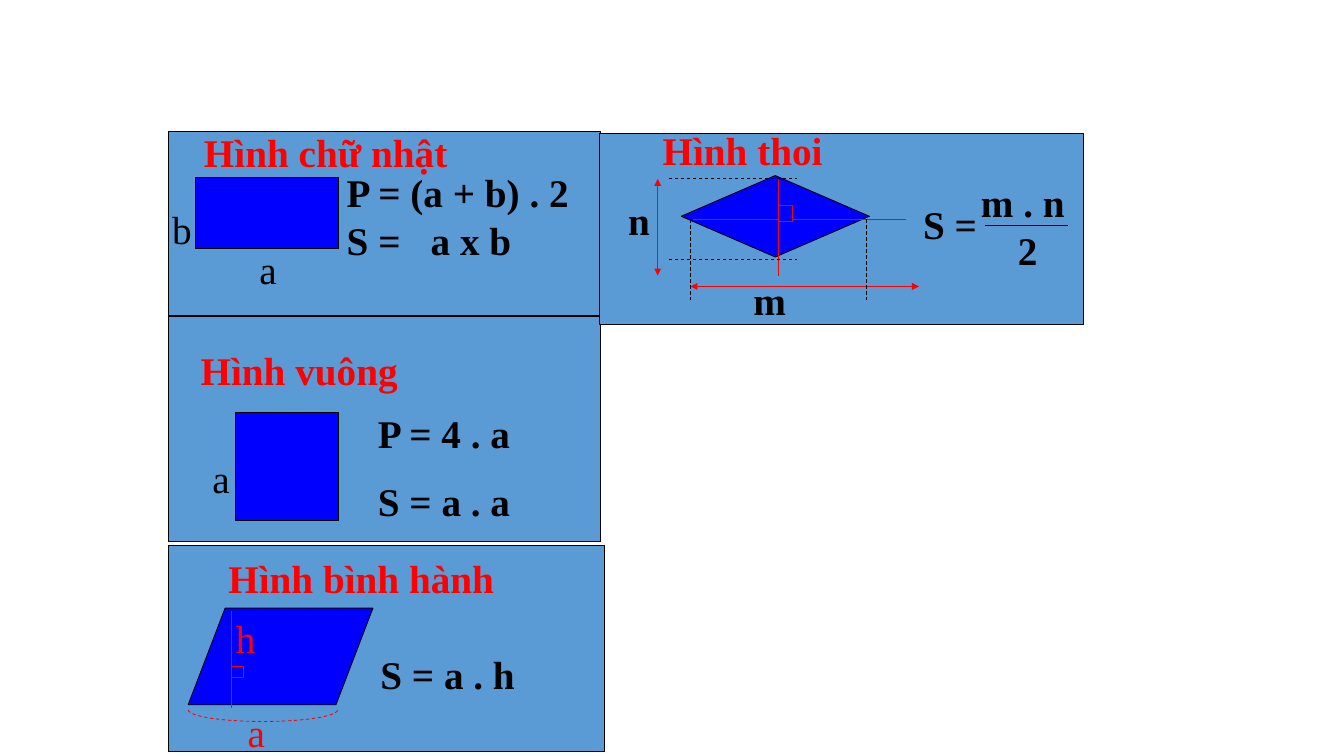
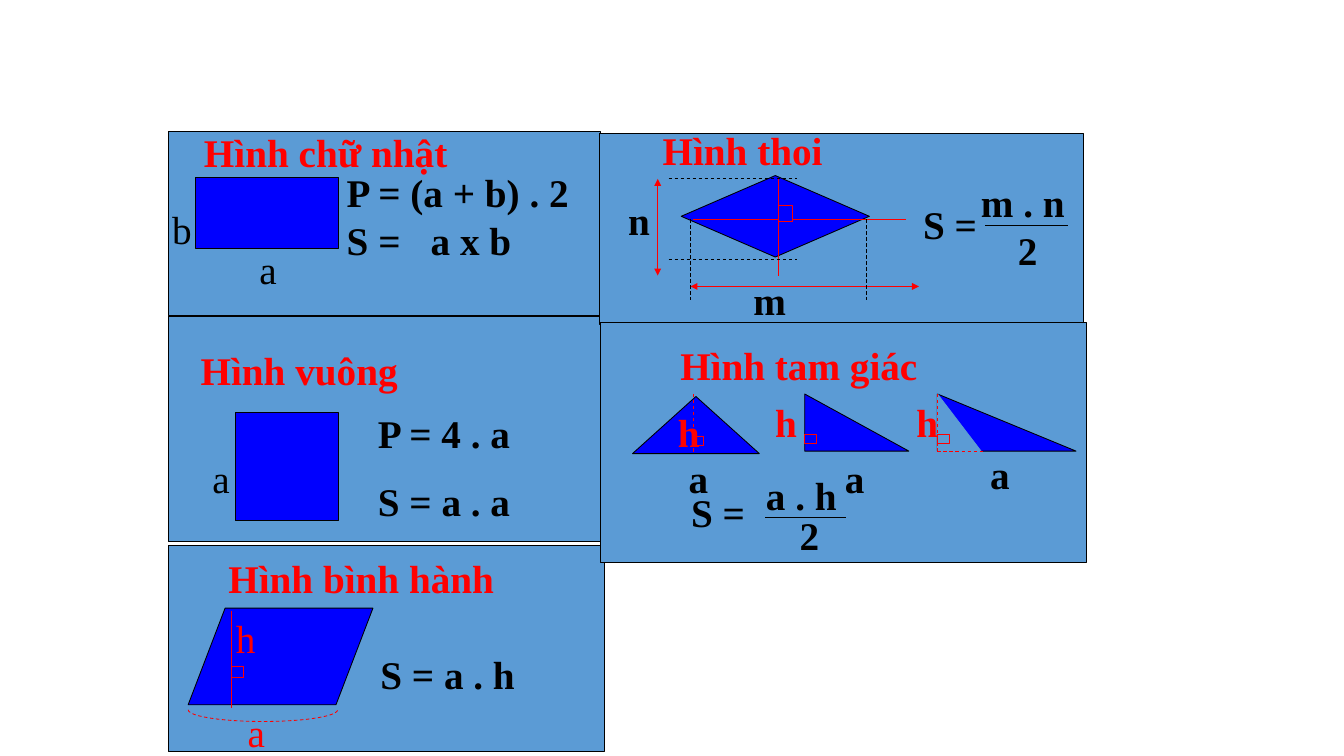
from math import cos, pi, sin
from lxml.etree import SubElement
from pptx import Presentation
from pptx.dml.color import RGBColor
from pptx.enum.dml import MSO_LINE_DASH_STYLE as DASH
from pptx.enum.shapes import MSO_CONNECTOR as LINK, MSO_SHAPE as SHAPE
from pptx.oxml.ns import qn
from pptx.util import Pt

COLS, ROWS = 16, 9
CELL = 914400
PANEL, FIGURE, RED, BLACK = "5B9BD5", "0000FF", "FF0000", "000000"
FONT = {"name": "Times New Roman", "size": Pt(33.6)}
TEXT_H = 0.67


def rgb(value):
    """Turn a hex string into a colour."""
    return RGBColor.from_string(value)


def emu(*cells):
    """Turn grid cells into slide units."""
    return [round(c * CELL) for c in cells]


def style_line(line, color, width=0.75, dash=False):
    """Give a line its colour, width and dash."""
    line.color.rgb = rgb(color)
    line.width = Pt(width)
    if dash:
        line.dash_style = DASH.DASH


class Panel:
    """A blue box whose parts are placed from its top left corner."""

    def __init__(self, s, x, y, w, h):
        """Draw the box itself."""
        self.shapes, self.x, self.y = s.shapes, x, y
        self.shape(SHAPE.RECTANGLE, 0, 0, w, h, PANEL)

    def shape(self, kind, x, y, w, h, fill=FIGURE, line=BLACK):
        """Add a filled preset shape."""
        sp = self.shapes.add_shape(kind, *emu(self.x + x, self.y + y, w, h))
        sp.shadow.inherit = False
        sp.fill.solid()
        sp.fill.fore_color.rgb = rgb(fill)
        style_line(sp.line, line)

    def right_angle(self, x, y, w=0.14, h=0.11, fill=FIGURE):
        """Mark a right angle with a small red box."""
        self.shape(SHAPE.RECTANGLE, x, y, w, h, fill, RED)

    def line(self, x1, y1, x2, y2, color=RED, arrows=False, **look):
        """Add a straight line, with arrowheads at both ends if asked."""
        ends = emu(self.x + x1, self.y + y1, self.x + x2, self.y + y2)
        c = self.shapes.add_connector(LINK.STRAIGHT, *ends)
        style_line(c.line, color, **look)
        if arrows:
            for end in ("headEnd", "tailEnd"):
                SubElement(c.line._get_or_add_ln(), qn(f"a:{end}"), type="triangle")
        SubElement(c._element.spPr, qn("a:effectLst"))

    def arc(self, cx, cy, rx, ry, steps=24):
        """Add the dashed lower half of an ellipse."""
        turns = [pi - pi * i / steps for i in range(steps + 1)]
        points = [emu(self.x + cx + rx * cos(t), self.y + cy + ry * sin(t)) for t in turns]
        fb = self.shapes.build_freeform(*points[0])
        fb.add_line_segments(points[1:], close=False)
        sp = fb.convert_to_shape()
        sp.shadow.inherit = False
        sp.fill.background()
        style_line(sp.line, RED, dash=True)

    def text(self, x, y, w, *lines, h=TEXT_H, color=BLACK, bold=True, gap=0):
        """Add a text box with one paragraph per line."""
        tf = self.shapes.add_textbox(*emu(self.x + x, self.y + y, w, h)).text_frame
        tf.word_wrap = True
        for i, line in enumerate(lines):
            p = tf.add_paragraph() if i else tf.paragraphs[0]
            p.space_before = Pt(gap if i else 0)
            r = p.add_run()
            r.text = line
            for key, value in {**FONT, "bold": bold}.items():
                setattr(r.font, key, value)
            r.font.color.rgb = rgb(color)

    def title(self, x, y, w, words):
        """Add the red heading."""
        self.text(x, y, w, words, color=RED)

    def fraction(self, x, y, w, top, bar, half, width):
        """Add a numerator, a bar and the denominator 2."""
        self.text(x, y, w, top)
        self.line(x + bar[0], y + bar[2], x + bar[1], y + bar[2], BLACK, width=width)
        self.text(x + half[0], y + half[1], 0.74, "2")


def parallelogram(s, *box):
    """Parallelogram: base, height and area."""
    b = Panel(s, *box)
    b.title(0.62, 0.06, 3.97, "Hình bình hành")
    b.shape(SHAPE.FLOWCHART_DATA, 0.24, 0.75, 2.2, 1.15)
    b.line(0.75, 0.78, 0.75, 1.94)
    b.right_angle(0.76, 1.44, h=0.14)
    b.text(0.71, 0.78, 0.69, "h", color=RED, bold=False)
    b.arc(1.13, 1.96, 0.89, 0.14)
    b.text(0.85, 1.89, 0.69, "a", color=RED, bold=False)
    b.text(2.43, 1.2, 2.34, "S = a . h")


def rectangle(s, *box):
    """Rectangle: sides, perimeter and area."""
    b = Panel(s, *box)
    b.shape(SHAPE.RECTANGLE, 0.33, 0.54, 1.7, 0.85)
    b.text(2.03, 0.38, 3.17, "P = (a + b) . 2", "S =\ta x b", h=1.23, gap=1.5)
    b.text(0.99, 1.3, 0.66, "a", bold=False)
    b.text(-0.05, 0.83, 0.47, "b", bold=False)
    b.title(0.33, -0.09, 3.21, "Hình chữ nhật")


def square(s, *box):
    """Square: side, perimeter and area."""
    b = Panel(s, *box)
    b.shape(SHAPE.RECTANGLE, 0.8, 1.14, 1.23, 1.29)
    b.text(0.43, 1.59, 0.57, "a", bold=False)
    b.title(0.29, 0.3, 2.81, "Hình vuông")
    b.text(2.4, 1.05, 2.2, "P = 4 . a", "S = a . a", h=1.51, gap=18)


def rhombus(s, *box):
    """Rhombus: two diagonals and area."""
    b = Panel(s, *box)
    left, right, top, bottom, middle = 1.08, 3.17, 0.54, 1.5, 1.02
    b.shape(SHAPE.DIAMOND, 0.97, 0.5, 2.24, 0.97)
    b.line(2.13, top, 2.13, 1.69)
    b.line(1.11, middle, 3.65, middle)
    b.right_angle(2.13, 0.86, 0.17, 0.19)
    b.line(0.69, top, 0.69, 1.69, arrows=True)
    b.line(left, 1.82, 3.8, 1.82, arrows=True)
    for y in (top, bottom):
        b.line(0.82, y, 2.35, y, BLACK, dash=True)
    for x in (left, right):
        b.line(x, middle, x, 1.98, BLACK, dash=True)
    b.text(0.24, 0.7, 0.76, "n")
    b.text(1.73, 1.65, 0.85, "m")
    b.text(3.75, 0.75, 0.98, "S =")
    b.fraction(4.44, 0.48, 1.54, "m . n", (0.15, 1.14, 0.61), (0.44, 0.58), 1)
    b.title(0.65, -0.13, 2.9, "Hình thoi")


def triangle(s, *box):
    """Triangles: acute, right and obtuse, with the area."""
    b = Panel(s, *box)
    foot, top, base = 4.01, 0.85, 1.54
    b.shape(SHAPE.RIGHT_TRIANGLE, foot, top, 1.65, 0.68)
    b.shape(SHAPE.RIGHT_TRIANGLE, foot, top, 0.55, 0.72, PANEL, PANEL)
    b.line(foot, top, foot, base, dash=True)
    b.line(foot, base, foot + 0.55, base, dash=True)
    b.shape(SHAPE.ISOSCELES_TRIANGLE, 0.38, 0.88, 1.51, 0.68)
    b.line(1.1, top, 1.1, base, dash=True)
    b.shape(SHAPE.RIGHT_TRIANGLE, 2.43, top, 1.24, 0.68)
    for x, y, fill in ((1.09, 1.35, FIGURE), (2.43, 1.33, FIGURE), (foot, 1.33, PANEL)):
        b.right_angle(x, y, fill=fill)
    for x, y in ((0.95, 1.52), (2.81, 1.52), (4.54, 1.47)):
        b.text(x, y, 0.69, "a")
    for x, y in ((0.82, 0.97), (1.98, top), (3.66, top)):
        b.text(x, y, 0.69, "h", color=RED)
    b.title(0.85, 0.18, 3.58, "Hình tam giác")
    b.text(0.98, 1.92, 0.96, "S =")
    b.fraction(1.87, 1.72, 1.24, "a . h", (0.09, 1.05, 0.6), (0.4, 0.48), 1.5)


def formulas(prs, with_triangle):
    """Build one slide of formula panels."""
    s = prs.slides.add_slide(prs.slide_layouts[6])
    parallelogram(s, 2, 6.49, 5.19, 2.46)
    rectangle(s, 2, 1.57, 5.15, 2.19)
    square(s, 2, 3.77, 5.15, 2.68)
    rhombus(s, 7.14, 1.59, 5.76, 2.27)
    if with_triangle:
        triangle(s, 7.15, 3.84, 5.78, 2.86)


prs = Presentation()
prs.slide_width, prs.slide_height = emu(COLS, ROWS)
for with_triangle in (False, True):
    formulas(prs, with_triangle)
prs.save("out.pptx")
